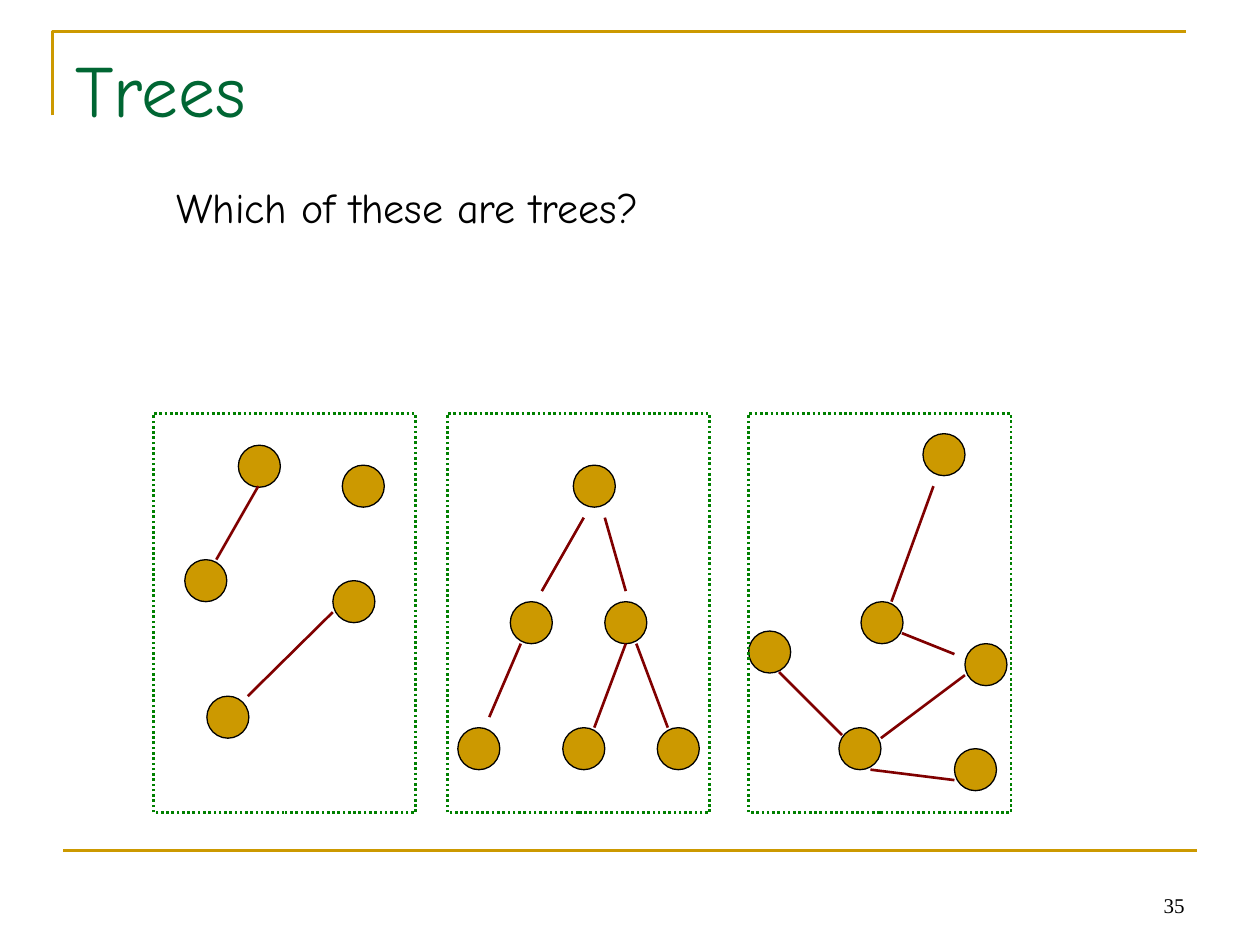
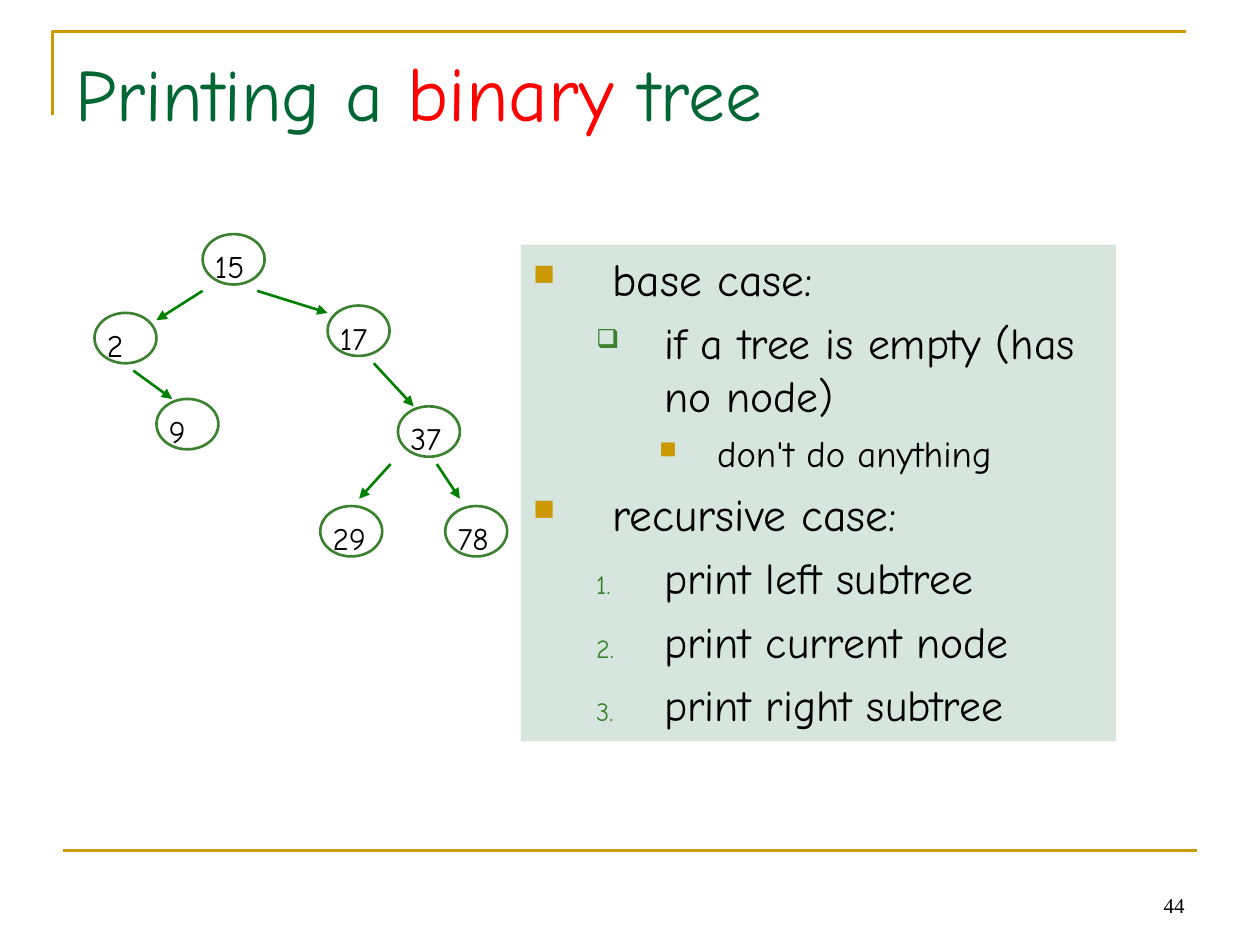
from lxml.etree import SubElement
from pptx import Presentation
from pptx.dml.color import RGBColor
from pptx.enum.dml import MSO_LINE
from pptx.enum.shapes import MSO_CONNECTOR, MSO_SHAPE
from pptx.enum.text import MSO_ANCHOR, MSO_AUTO_SIZE, PP_ALIGN
from pptx.oxml.ns import qn
from pptx.util import Inches, Pt

COLORS = {
    "gold": "CC9900", "title": "006633", "ink": "000000", "accent": "FF0000",
    "edge": "800000", "frame": "008000", "ring": "3B812F",
}
TEXT_FONT, NUMBER_FONT = "Comic Neue", "Times New Roman"
COLUMNS, ROWS = 120, 90
LINE = 1.5


def rgb(name):
    return RGBColor.from_string(COLORS[name])


class Deck:
    """Slide style, the current slide and a grid of 120 columns by 90 rows."""

    def __init__(self):
        self.prs = Presentation()
        self.prs.slide_width, self.prs.slide_height = Inches(10), Inches(7.5)
        self.slide = None

    def place(self, column, row):
        return (round(self.prs.slide_width * column / COLUMNS),
                round(self.prs.slide_height * row / ROWS))

    def box(self, column, row, width, height):
        return *self.place(column, row), *self.place(width, height)

    def new_slide(self, title_parts, number):
        self.slide = self.prs.slides.add_slide(self.prs.slide_layouts[5])
        # Corner rule and bottom rule
        builder = self.slide.shapes.build_freeform(*self.place(5, 11))
        builder.add_line_segments([self.place(5, 3), self.place(113, 3)], close=False)
        self.paint(builder.convert_to_shape(), line="gold")
        self.line((6, 81, 114, 81), "gold")
        # Title
        title = self.slide.shapes.title
        title.left, title.top, title.width, title.height = self.box(6, 3.6, 108, 15)
        frame = title.text_frame
        frame.auto_size = MSO_AUTO_SIZE.NONE
        frame.vertical_anchor = MSO_ANCHOR.TOP
        frame.paragraphs[0].alignment = PP_ALIGN.LEFT
        for text, size, color in title_parts:
            run = frame.paragraphs[0].add_run()
            run.text = text
            self.style(run, size, color)
        # Page number
        page = self.text((86, 82, 28, 6), number, 12, NUMBER_FONT)
        page.vertical_anchor = MSO_ANCHOR.BOTTOM
        page.paragraphs[0].alignment = PP_ALIGN.RIGHT

    def style(self, run, size, color="ink", font=TEXT_FONT):
        run.font.size, run.font.name = Pt(size), font
        run.font.color.rgb = rgb(color)

    def paint(self, shape, fill=None, line=None, width=LINE):
        shape.shadow.inherit = False
        if fill:
            shape.fill.solid()
            shape.fill.fore_color.rgb = rgb(fill)
        else:
            shape.fill.background()
        if line:
            shape.line.color.rgb = rgb(line)
            shape.line.width = Pt(width)
        else:
            shape.line.fill.background()

    def shape(self, kind, area, **look):
        shape = self.slide.shapes.add_shape(kind, *self.box(*area))
        self.paint(shape, **look)
        return shape

    def line(self, ends, color, arrow=False):
        connector = self.slide.shapes.add_connector(
            MSO_CONNECTOR.STRAIGHT, *self.place(*ends[:2]), *self.place(*ends[2:]))
        connector.line.color.rgb = rgb(color)
        connector.line.width = Pt(LINE)
        if arrow:
            SubElement(connector.line._get_or_add_ln(), qn("a:tailEnd"), type="triangle")
        SubElement(connector._element.spPr, qn("a:effectLst"))

    def text(self, area, text, size, font=TEXT_FONT):
        frame = self.slide.shapes.add_textbox(*self.box(*area)).text_frame
        frame.word_wrap = True
        frame.text = text
        self.style(frame.paragraphs[0].runs[0], size, font=font)
        return frame

    def dot(self, column, row):
        self.shape(MSO_SHAPE.OVAL, (column, row, 4, 4), fill="gold", line="ink", width=0.75)

    def frame(self, column):
        frame = self.shape(MSO_SHAPE.RECTANGLE, (column, 39.4, 25, 38), line="frame")
        frame.line.dash_style = MSO_LINE.ROUND_DOT

    def tree_node(self, value, column, row):
        self.shape(MSO_SHAPE.OVAL, (column, row, 5.9, 4.8), line="ring")
        self.text((column, row + 0.65, 6.7, 4.8), value, 18)

    def outline(self, area, items, levels):
        panel = self.shape(MSO_SHAPE.RECTANGLE, area, fill="title")
        color = panel._element.spPr.find(qn("a:solidFill"))[0]
        SubElement(color, qn("a:alpha"), val="16000")
        frame = panel.text_frame
        frame.word_wrap = True
        frame.vertical_anchor = MSO_ANCHOR.TOP
        for index, (kind, text) in enumerate(items):
            level = levels[kind]
            paragraph = frame.add_paragraph() if index else frame.paragraphs[0]
            paragraph.text = text
            paragraph.level = level["depth"]
            paragraph.alignment = PP_ALIGN.LEFT
            self.bullet(paragraph, level)
            if index:
                paragraph.space_before = Pt(level["before"])
            self.style(paragraph.runs[0], level["size"])

    def bullet(self, paragraph, level):
        properties = paragraph._p.get_or_add_pPr()
        properties.set("marL", str(Inches(level["indent"])))
        properties.set("indent", str(-Inches(level["hang"])))
        color = SubElement(properties, qn("a:buClr"))
        SubElement(color, qn("a:srgbClr"), val=COLORS[level["color"]])
        SubElement(properties, qn("a:buSzPct"), val=str(level["scale"] * 1000))
        if "mark" in level:
            SubElement(properties, qn("a:buChar"), char=level["mark"])
        else:
            SubElement(properties, qn("a:buAutoNum"), type="arabicPeriod")


# Each candidate graph: frame column, nodes (column, row), edges (from, to)
CANDIDATES = [
    (14.6,
     [(22.7, 42.4), (17.6, 53.3), (31.7, 55.3), (19.7, 66.3), (32.6, 44.3)],
     [(24.6, 46.3, 20.6, 53.3), (31.7, 58.3, 23.6, 66.3)]),
    (42.6,
     [(54.6, 44.3), (48.6, 57.3), (57.6, 57.3), (43.6, 69.3), (53.6, 69.3), (62.6, 69.3)],
     [(55.6, 49.3, 51.6, 56.3), (57.6, 49.3, 59.6, 56.3), (59.6, 61.3, 56.6, 69.3),
      (60.6, 61.3, 63.6, 69.3), (49.6, 61.3, 46.6, 68.3)]),
    (71.3,
     [(82, 57.3), (91.9, 61.3), (79.9, 69.3), (87.9, 41.3), (90.9, 71.3), (71.3, 60.1)],
     [(88.9, 46.3, 84.9, 57.3), (91.9, 64.3, 83.9, 70.3), (90.9, 62.3, 85.9, 60.3),
      (82.9, 73.3, 90.9, 74.3), (80.2, 70, 74.2, 64)]),
]

TREE_NODES = [
    ("15", 19.3, 22.3), ("2", 9, 29.8), ("9", 14.9, 38), ("17", 31.2, 29.1),
    ("29", 30.5, 48.2), ("37", 37.9, 38.7), ("78", 42.4, 48.2),
]
TREE_ARROWS = [
    (19.3, 27.7, 14.9, 30.5), (12.7, 35.3, 16.4, 38), (24.5, 27.7, 31.2, 29.8),
    (37.2, 44.2, 34.2, 47.5), (35.6, 34.6, 39.4, 38.7), (41.6, 44.2, 43.8, 47.5),
]

CASE = dict(depth=0, indent=0.63, hang=0.63, before=6.5, size=26,
            color="gold", scale=65, mark="■")
STEP = dict(depth=1, indent=1.04, hang=0.54, before=6.2, size=25, color="ring", scale=60)
LEVELS = {
    "case": CASE,
    "step": STEP,
    "test": dict(STEP, mark="❑"),
    "action": dict(CASE, depth=2, indent=1.46, hang=0.46, before=5.2, size=21),
}
ALGORITHM = [
    ("case", "base case:"),
    ("test", "if a tree is empty (has no node)"),
    ("action", "don't do anything"),
    ("case", "recursive case:"),
    ("step", "print left subtree"),
    ("step", "print current node"),
    ("step", "print right subtree"),
]


def main():
    deck = Deck()

    # Which graphs are trees
    deck.new_slide([("Trees", 42, "title")], "35")
    deck.text((15.6, 16.7, 72, 6), "Which of these are trees?", 24)
    for frame_column, nodes, edges in CANDIDATES:
        for node in nodes:
            deck.dot(*node)
        for edge in edges:
            deck.line(edge, "edge")
        deck.frame(frame_column)

    # Printing a binary tree
    deck.new_slide([("Printing a ", 42, "title"), ("binary ", 44, "accent"),
                    ("tree", 42, "title")], "44")
    for node in TREE_NODES:
        deck.tree_node(*node)
    for arrow in TREE_ARROWS:
        deck.line(arrow, "frame", arrow=True)
    deck.outline((49.6, 23.3, 56.7, 47.3), ALGORITHM, LEVELS)

    deck.prs.save("out.pptx")


if __name__ == "__main__":
    main()
